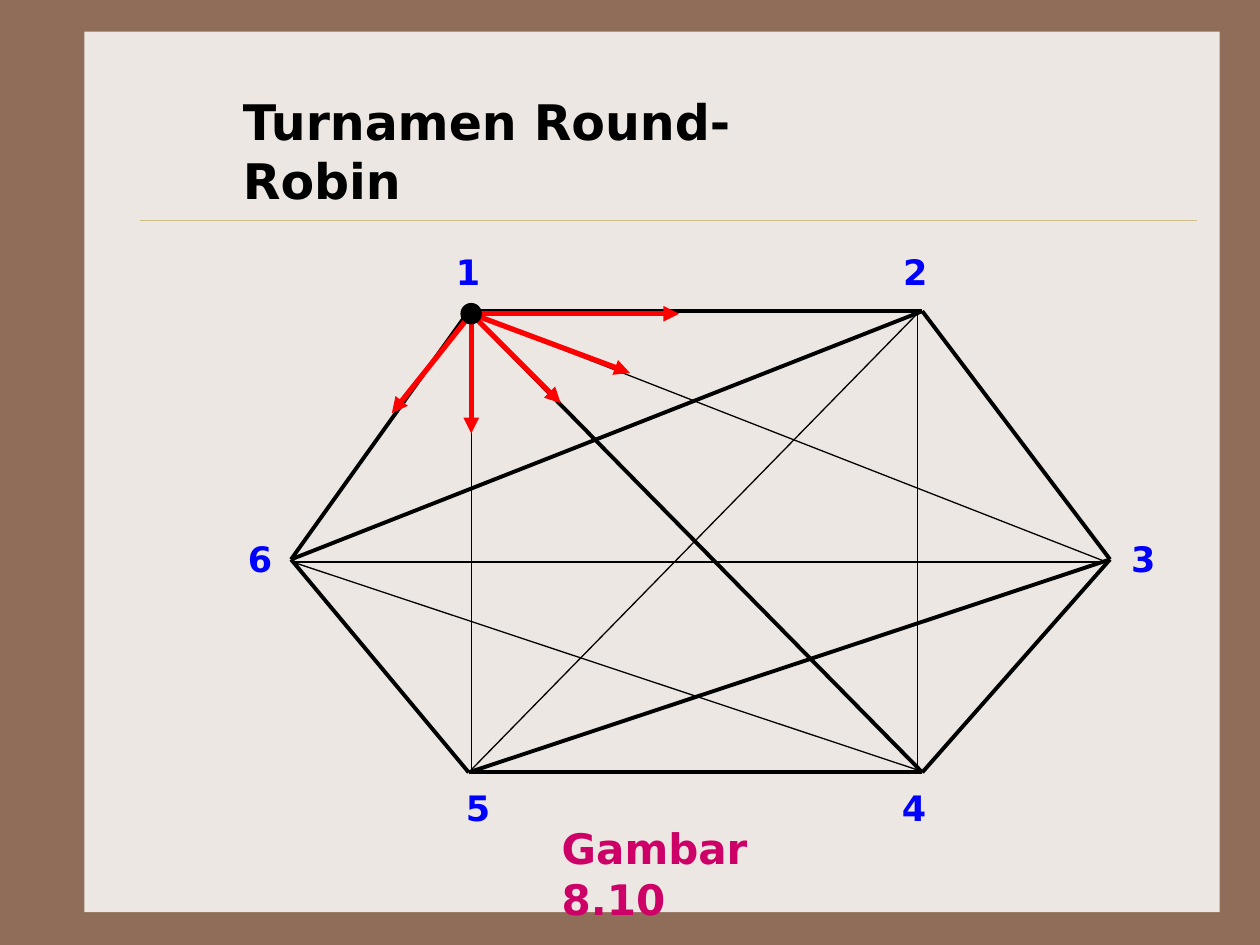
from dataclasses import dataclass

from lxml import etree
from pptx import Presentation
from pptx import util as u
from pptx.dml.color import RGBColor
from pptx.enum import shapes
from pptx.oxml.ns import qn

COLORS = {
    "frame": "906D58", "paper": "EDE7E3", "rule": "CBBD83", "ink": "000000",
    "arrow": "FF0000", "number": "0000FF", "caption": "CC0066",
}
FONT = "DejaVu Sans"
Point = tuple[float, float]


@dataclass(frozen=True)
class Label:
    value: str
    left: float
    top: float
    width: float = 0.36
    height: float = 0.44
    size: int = 20
    color: str = "number"


@dataclass(frozen=True)
class LineStyle:
    color: str
    weight: float
    arrow: bool = False


RULE = LineStyle("rule", 0.25)
THICK = LineStyle("ink", 2.25)
THIN = LineStyle("ink", 0.75)
ARROW = LineStyle("arrow", 3, arrow=True)

# Thick games meet at the hexagon corners, thin ones at the node centres
CORNERS = {1: (3.72, 2.47), 2: (7.32, 2.47), 3: (8.81, 4.44),
           4: (7.32, 6.13), 5: (3.72, 6.13), 6: (2.31, 4.44)}
CENTRES = {1: (3.74, 2.49), 2: (7.28, 2.49), 3: (8.78, 4.46),
           4: (7.28, 6.11), 5: (3.74, 6.11), 6: (2.32, 4.46)}
THICK_GAMES = [(4, 5), (2, 1), (1, 6), (6, 5), (3, 4), (3, 2), (6, 2), (1, 4), (5, 3)]
THIN_GAMES = [(5, 2), (5, 1), (1, 3), (2, 4), (3, 6), (6, 4)]
ARROW_TIPS = [(5.39, 2.49), (5, 2.96), (4.45, 3.2), (3.74, 3.44), (3.11, 3.28)]

TITLE = Label("Turnamen Round-Robin", 1.83, 0.68, 4.8, 0.57, 28, "ink")
LABELS = [
    Label("1", 3.52, 1.94), Label("2", 7.07, 1.94), Label("3", 8.88, 4.22),
    Label("4", 7.06, 6.19), Label("5", 3.6, 6.19), Label("6", 1.87, 4.22),
    Label("Gambar 8.10", 4.36, 6.48, 2.29, 0.5, 24, "caption"),
]


def rgb(name: str) -> RGBColor:
    return RGBColor.from_string(COLORS[name])


def add_line(s, start: Point, end: Point, style: LineStyle) -> None:
    ends = [u.Inches(v) for v in (*start, *end)]
    cx = s.shapes.add_connector(shapes.MSO_CONNECTOR.STRAIGHT, *ends)
    cx.line.color.rgb = rgb(style.color)
    cx.line.width = u.Pt(style.weight)
    if style.arrow:
        etree.SubElement(cx.line._get_or_add_ln(), qn("a:tailEnd"), type="triangle")
    etree.SubElement(cx._element.spPr, qn("a:effectLst"))


def add_solid(s, kind, left: float, top: float, width: float, height: float, color: str):
    sp = s.shapes.add_shape(kind, *(u.Inches(v) for v in (left, top, width, height)))
    sp.shadow.inherit = False
    sp.fill.solid()
    sp.fill.fore_color.rgb = rgb(color)
    sp.line.fill.background()
    return sp


def add_label(s, label: Label) -> None:
    box = (label.left, label.top, label.width, label.height)
    tf = s.shapes.add_textbox(*(u.Inches(v) for v in box)).text_frame
    tf.word_wrap = True
    p = tf.paragraphs[0]
    p.text = label.value
    p.font.name, p.font.size, p.font.bold = FONT, u.Pt(label.size), True
    p.font.color.rgb = rgb(label.color)


def main() -> None:
    prs = Presentation()
    prs.slide_width, prs.slide_height = u.Inches(10), u.Inches(7.5)
    s = prs.slides.add_slide(prs.slide_layouts[6])

    # Framed paper and title
    s.background.fill.solid()
    s.background.fill.fore_color.rgb = rgb("frame")
    add_solid(s, shapes.MSO_SHAPE.RECTANGLE, 0.67, 0.25, 9.01, 6.99, "paper")
    add_line(s, (1.11, 1.75), (9.5, 1.75), RULE)
    add_label(s, TITLE)

    # Games between every pair of players
    for a, b in THICK_GAMES:
        add_line(s, CORNERS[a], CORNERS[b], THICK)
    for a, b in THIN_GAMES:
        add_line(s, CENTRES[a], CENTRES[b], THIN)

    # Arrows leaving player 1
    for tip in ARROW_TIPS:
        add_line(s, CENTRES[1], tip, ARROW)
    x, y = CENTRES[1]
    radius = 0.08
    dot = add_solid(s, shapes.MSO_SHAPE.OVAL, x - radius, y - radius,
                    2 * radius, 2 * radius, "ink")
    dot.line.color.rgb = rgb("ink")
    dot.line.width = u.Pt(0.75)

    # Player numbers and caption
    for label in LABELS:
        add_label(s, label)

    prs.save("out.pptx")


if __name__ == "__main__":
    main()
